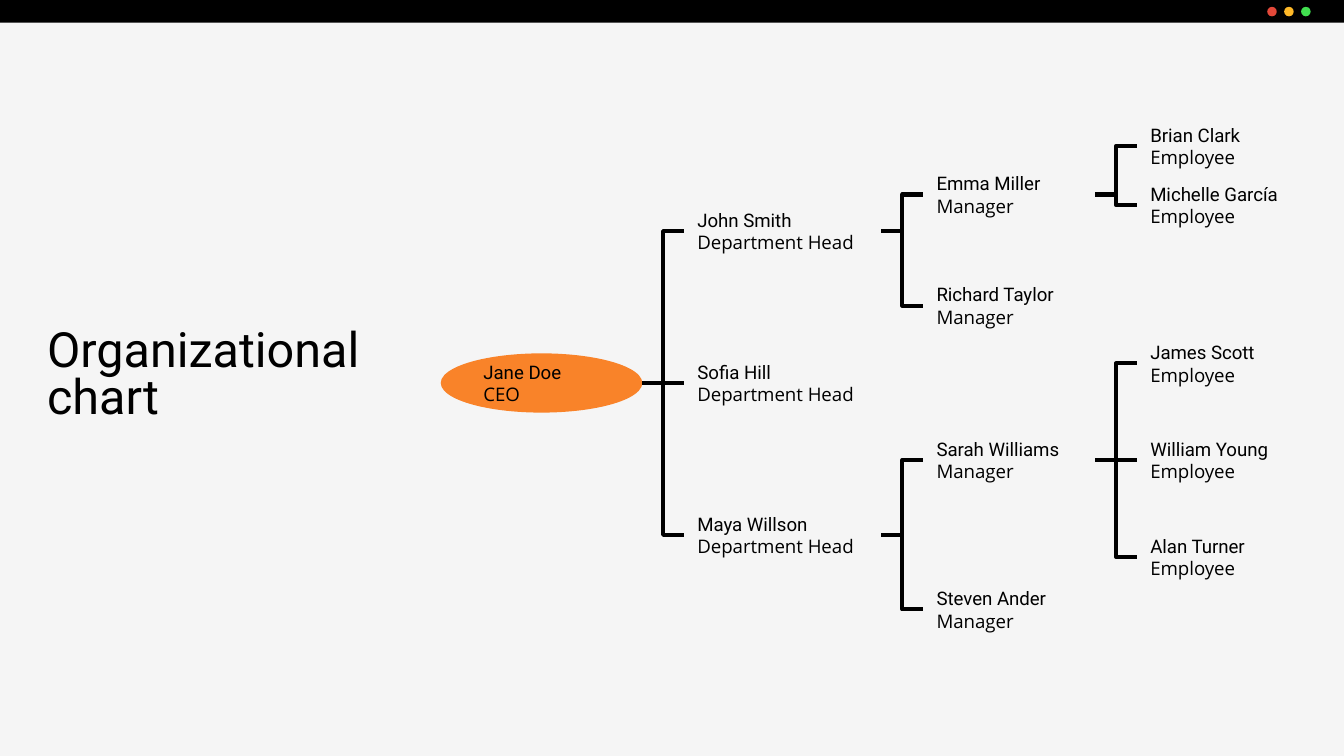
from dataclasses import dataclass

from lxml import etree
from pptx import Presentation
from pptx.dml.color import RGBColor
from pptx.enum.shapes import MSO_CONNECTOR as Link, MSO_SHAPE as Shape
from pptx.enum.text import MSO_ANCHOR as Anchor, PP_ALIGN as Align
from pptx.oxml.ns import qn
from pptx.util import Cm, Pt


@dataclass(frozen=True)
class Theme:
    paper: str = "F5F5F5"
    ink: str = "000000"
    accent: str = "F98329"
    dots: tuple = ("E34839", "FFB928", "41DF4F")
    heading: str = "Roboto"
    body: str = "Open Sans"
    title_size: int = 26
    label_size: int = 10
    line_width: float = 2.25


@dataclass(frozen=True)
class Person:
    name: str
    role: str
    offset: float = 0  # cm below the centre of the superior
    reports: tuple = ()


THEME = Theme()
GAP = 0.79
LABEL_HEIGHT = 1.04
LABEL_WIDTHS = (3.73, 3.25, 3.28)  # department heads, managers, employees

EMMA_TEAM = (Person("Brian Clark", "Employee", -0.92),
             Person("Michelle García", "Employee", 0.2))
SARAH_TEAM = (Person("James Scott", "Employee", -1.83),
              Person("William Young", "Employee"),
              Person("Alan Turner", "Employee", 1.83))
JOHN_TEAM = (Person("Emma Miller", "Manager", -0.69, EMMA_TEAM),
             Person("Richard Taylor", "Manager", 1.41))
MAYA_TEAM = (Person("Sarah Williams", "Manager", -1.41, SARAH_TEAM),
             Person("Steven Ander", "Manager", 1.41))
CEO = Person("Jane Doe", "CEO", reports=(
    Person("John Smith", "Department Head", -2.87, JOHN_TEAM),
    Person("Sofia Hill", "Department Head"),
    Person("Maya Willson", "Department Head", 2.87, MAYA_TEAM)))


def add_filled(page, kind, box, color):
    shape = page.shapes.add_shape(kind, *map(Cm, box))
    shape.shadow.inherit = False
    shape.fill.solid()
    shape.fill.fore_color.rgb = RGBColor.from_string(color)
    shape.line.fill.background()
    return shape


def write(para, text, *, font, size, color=THEME.ink, spacing=None):
    para.alignment = Align.LEFT
    para.line_spacing = spacing
    span = para.add_run()
    span.text = text
    span.font.name = font
    span.font.size = Pt(size)
    span.font.color.rgb = RGBColor.from_string(color)


def prepare_frame(shape, anchor):
    frame = shape.text_frame
    frame.word_wrap = True
    frame.vertical_anchor = anchor
    frame.margin_left = frame.margin_right = Cm(0.25)
    frame.margin_top = frame.margin_bottom = Cm(0.25)
    return frame


def label_person(shape, person):
    frame = prepare_frame(shape, Anchor.MIDDLE)
    write(frame.paragraphs[0], person.name, font=THEME.heading, size=THEME.label_size)
    write(frame.add_paragraph(), person.role, font=THEME.body, size=THEME.label_size)


def join(page, superior, report, straight, from_label):
    start = superior.left + superior.width, superior.top + superior.height // 2
    end = report.left, report.top + report.height // 2
    kind = Link.STRAIGHT if straight else Link.ELBOW
    line = page.shapes.add_connector(kind, *start, *end)
    if from_label:
        line.begin_connect(superior, 3)
    line.end_connect(report, 1)
    line.line.color.rgb = RGBColor.from_string(THEME.ink)
    line.line.width = Pt(THEME.line_width)
    etree.SubElement(line._element.spPr, qn("a:effectLst"))


def add_window_bar(page, box):
    left, top, width, height = box
    add_filled(page, Shape.RECTANGLE, box, THEME.ink)
    size, step = 0.18, 0.32
    for index, color in enumerate(THEME.dots):
        x = left + width - 1.45 + index * step
        add_filled(page, Shape.OVAL, (x, top + 0.13, size, size), color)


def add_title(page, box):
    frame = prepare_frame(page.shapes.add_textbox(*map(Cm, box)), Anchor.TOP)
    write(frame.paragraphs[0], "Organizational chart", font=THEME.heading,
          size=THEME.title_size, spacing=0.8)


def add_reports(page, superior, person, left, middle, level=0):
    """Place the reports of one person in a column, then theirs in the next."""
    for report in person.reports:
        width = LABEL_WIDTHS[level]
        center = middle + report.offset
        label = page.shapes.add_textbox(
            Cm(left), Cm(center - LABEL_HEIGHT / 2), Cm(width), Cm(LABEL_HEIGHT))
        label_person(label, report)
        join(page, superior, label, straight=report.offset == 0, from_label=level > 0)
        add_reports(page, label, report, left + width + GAP, center, level + 1)


def add_org_chart(page, box):
    left, top, width, height = box
    oval_width, oval_height = 3.81, 1.12
    middle = top + height / 2
    oval = add_filled(page, Shape.OVAL,
                      (left, middle - oval_height / 2, oval_width, oval_height),
                      THEME.accent)
    label_person(oval, CEO)
    add_reports(page, oval, CEO, left + oval_width + GAP, middle)


def main():
    deck = Presentation()
    deck.slide_width, deck.slide_height = Cm(25.4), Cm(14.29)
    page = deck.slides.add_slide(deck.slide_layouts[6])
    page.background.fill.solid()
    page.background.fill.fore_color.rgb = RGBColor.from_string(THEME.paper)

    # Browser-style bar, title on the left, tree on the right
    add_window_bar(page, (0, 0, 25.4, 0.43))
    add_title(page, (0.64, 6, 6.86, 2.29))
    add_org_chart(page, (8.33, 2.24, 16.44, 10))

    deck.save("out.pptx")


if __name__ == "__main__":
    main()
